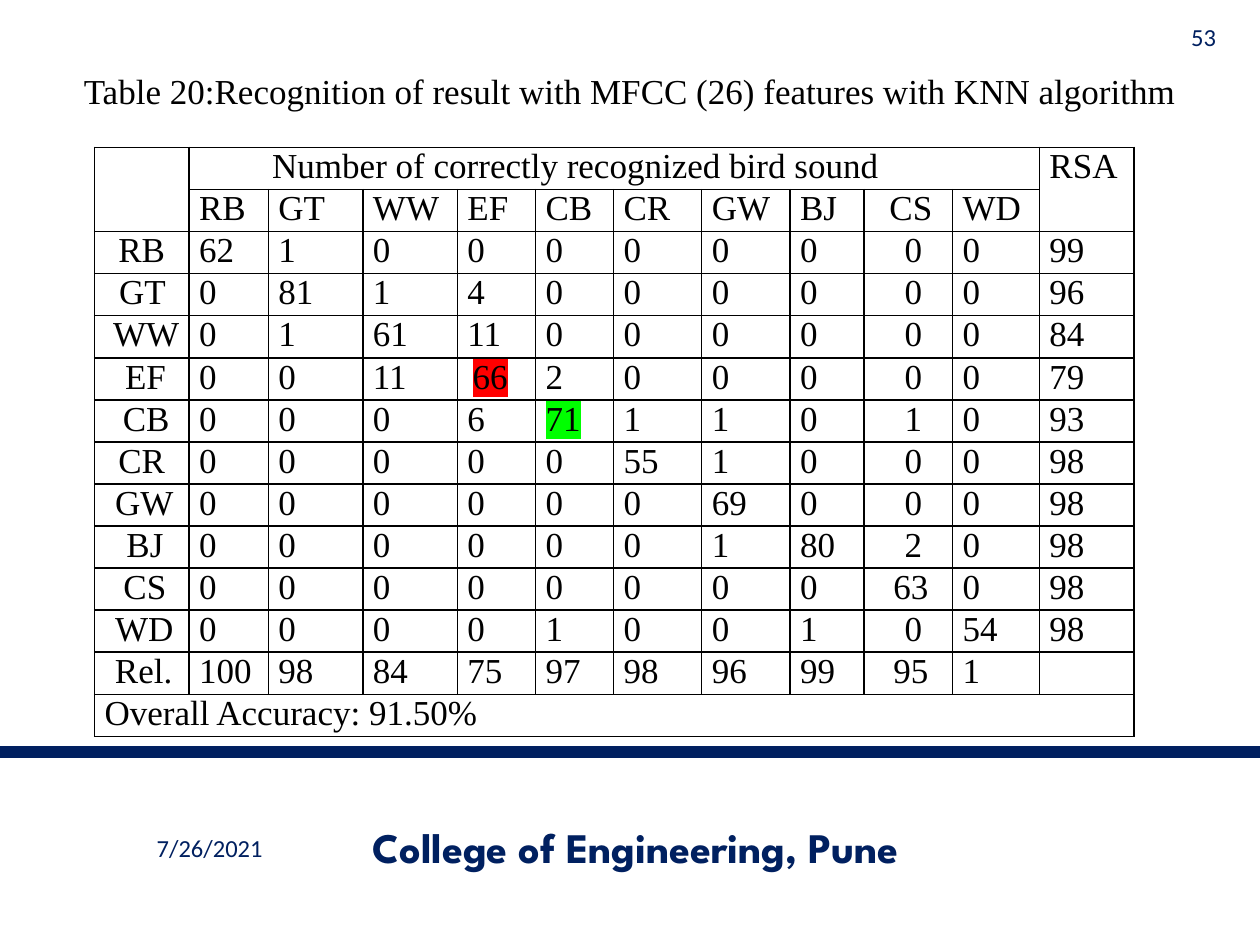
import lxml.etree
import pptx
import pptx.dml.color
import pptx.enum.shapes
import pptx.enum.text
import pptx.oxml.ns
import pptx.util

THEME = {
    "navy": "002060", "black": "000000", "red": "FF0000", "green": "00FF00",
    "serif": "Times New Roman", "sans": "Calibri", "display": "League Spartan",
    "body": 20, "small": 14, "footer": 24, "rule": 6.5, "border": 1,
}
ALIGN = pptx.enum.text.PP_ALIGN
ANCHOR = pptx.enum.text.MSO_ANCHOR
qualified = pptx.oxml.ns.qn

presentation = pptx.Presentation()
presentation.slide_width = pptx.util.Inches(10)
presentation.slide_height = pptx.util.Inches(7.5)
WIDTH, HEIGHT = presentation.slide_width, presentation.slide_height
slide = presentation.slides.add_slide(presentation.slide_layouts[6])


def write(paragraph, text, alignment, face="serif", size="body", color="black", indent=0):
    """Fill a paragraph; indent is its left margin in inches."""
    paragraph.add_run().text = text
    paragraph.alignment = alignment
    if indent:
        properties = paragraph._p.get_or_add_pPr()
        properties.set("marL", str(pptx.util.Inches(indent)))
        properties.set("indent", "0")
    paragraph.font.name = THEME[face]
    paragraph.font.size = pptx.util.Pt(THEME[size])
    paragraph.font.color.rgb = pptx.dml.color.RGBColor.from_string(THEME[color])


def add_fill(parent, tag, color):
    """Add a child element that holds a plain colour."""
    element = lxml.etree.SubElement(parent, qualified(tag))
    lxml.etree.SubElement(element, qualified("a:srgbClr"), val=THEME[color])


# Rule above the footer
rule_top = round(HEIGHT * 0.796)
rule = slide.shapes.add_connector(
    pptx.enum.shapes.MSO_CONNECTOR.STRAIGHT, 0, rule_top, WIDTH, rule_top)
rule.line.color.rgb = pptx.dml.color.RGBColor.from_string(THEME["navy"])
rule.line.width = pptx.util.Pt(THEME["rule"])
lxml.etree.SubElement(rule._element.spPr, qualified("a:effectLst"))

# Date, institute, page number and caption, placed by percent of the slide
labels = [
    ("7/26/2021", (5, 87.07, 23.3, 5.33), ALIGN.CENTER, "sans", "small", "navy"),
    ("College of Engineering, Pune", (24.2, 86.93, 52.5, 5.33),
     ALIGN.CENTER, "display", "footer", "navy"),
    ("53", (92.5, 2, 5, 3.73), ALIGN.RIGHT, "sans", "small", "navy"),
    ("Table 20:Recognition of result with MFCC (26) features with KNN algorithm",
     (5, 6.67, 90, 5.87), ALIGN.CENTER, "serif", "body", "black"),
]
for text, (left, top, width, height), alignment, face, size, color in labels:
    box = slide.shapes.add_textbox(
        round(WIDTH * left / 100), round(HEIGHT * top / 100),
        round(WIDTH * width / 100), round(HEIGHT * height / 100))
    box.text_frame.word_wrap = True
    box.text_frame.vertical_anchor = ANCHOR.TOP if face == "serif" else ANCHOR.MIDDLE
    paragraph = box.text_frame.paragraphs[0]
    write(paragraph, text, alignment, face, size, color)
    if face == "display":
        paragraph.font.bold = True

# Confusion matrix: each bird's label indent, then its counts and RSA
birds = ["RB", "GT", "WW", "EF", "CB", "CR", "GW", "BJ", "CS", "WD"]
label_indents = [0, 0.01, 0.07, 0.06, 0.07, 0, 0.04, 0.05, 0.05, 0.04, 0.03]
results = [
    [62, 1, 0, 0, 0, 0, 0, 0, 0, 0, 99],
    [0, 81, 1, 4, 0, 0, 0, 0, 0, 0, 96],
    [0, 1, 61, 11, 0, 0, 0, 0, 0, 0, 84],
    [0, 0, 11, 66, 2, 0, 0, 0, 0, 0, 79],
    [0, 0, 0, 6, 71, 1, 1, 0, 1, 0, 93],
    [0, 0, 0, 0, 0, 55, 1, 0, 0, 0, 98],
    [0, 0, 0, 0, 0, 0, 69, 0, 0, 0, 98],
    [0, 0, 0, 0, 0, 0, 1, 80, 2, 0, 98],
    [0, 0, 0, 0, 0, 0, 0, 0, 63, 0, 98],
    [0, 0, 0, 0, 1, 0, 0, 1, 0, 54, 98],
    [100, 98, 84, 75, 97, 98, 96, 99, 95, 1, ""],
]
rows = [
    ["", "Number of correctly recognized bird sound"] + [""] * 9 + ["RSA"],
    [""] + birds + [""],
    *[[name] + counts for name, counts in zip(birds + ["Rel."], results)],
    ["Overall Accuracy: 91.50%"] + [""] * 11,
]
highlights = {"66": "red", "71": "green"}
column_percents = [7.5, 6.3, 7.5, 7.5, 6.2, 6.2, 7, 7, 5.9, 7, 6.9, 7.5]
last_row, last_column = len(rows) - 1, len(column_percents) - 1
centred_column = birds.index("CS") + 1

frame = slide.shapes.add_table(
    len(rows), len(column_percents), round(WIDTH * 0.075), round(HEIGHT * 0.156),
    round(WIDTH * 0.825), round(HEIGHT * 0.6227))
table = frame.table
table.first_row = table.horz_banding = False
for column, percent in zip(table.columns, column_percents):
    column.width = round(WIDTH * percent / 100)
for row in table.rows:
    row.height = round(HEIGHT * 0.6227 / len(rows))

for start, end in [((0, 0), (1, 0)), ((0, 1), (0, last_column - 1)),
                   ((0, last_column), (1, last_column)),
                   ((last_row, 0), (last_row, last_column))]:
    table.cell(*start).merge(table.cell(*end))

for row_index, values in enumerate(rows):
    for column_index, value in enumerate(values):
        cell = table.cell(row_index, column_index)
        cell.margin_left = cell.margin_right = cell.margin_top = cell.margin_bottom = 0
        properties = cell._tc.get_or_add_tcPr()
        for side in ("a:lnL", "a:lnR", "a:lnT", "a:lnB"):
            border = lxml.etree.SubElement(
                properties, qualified(side), w=str(pptx.util.Pt(THEME["border"])))
            add_fill(border, "a:solidFill", "black")
        cell.fill.background()

        text = str(value)
        paragraph = cell.text_frame.paragraphs[0]
        if not text:
            paragraph.font.size = pptx.util.Pt(THEME["body"])
            continue
        alignment, indent = ALIGN.LEFT, 0.08
        if row_index == 0 and column_index == 1:
            indent = 0.66
        elif column_index == 0 and row_index < last_row:
            alignment, indent = ALIGN.CENTER, label_indents[row_index - 2]
        elif column_index == centred_column:
            alignment, indent = ALIGN.CENTER, 0.08 if len(text) == 1 else 0.04
        elif text == "66":
            indent = 0.12
        write(paragraph, text, alignment, indent=indent)
        if text in highlights:
            add_fill(paragraph.runs[0]._r.get_or_add_rPr(), "a:highlight", highlights[text])

presentation.save("out.pptx")
